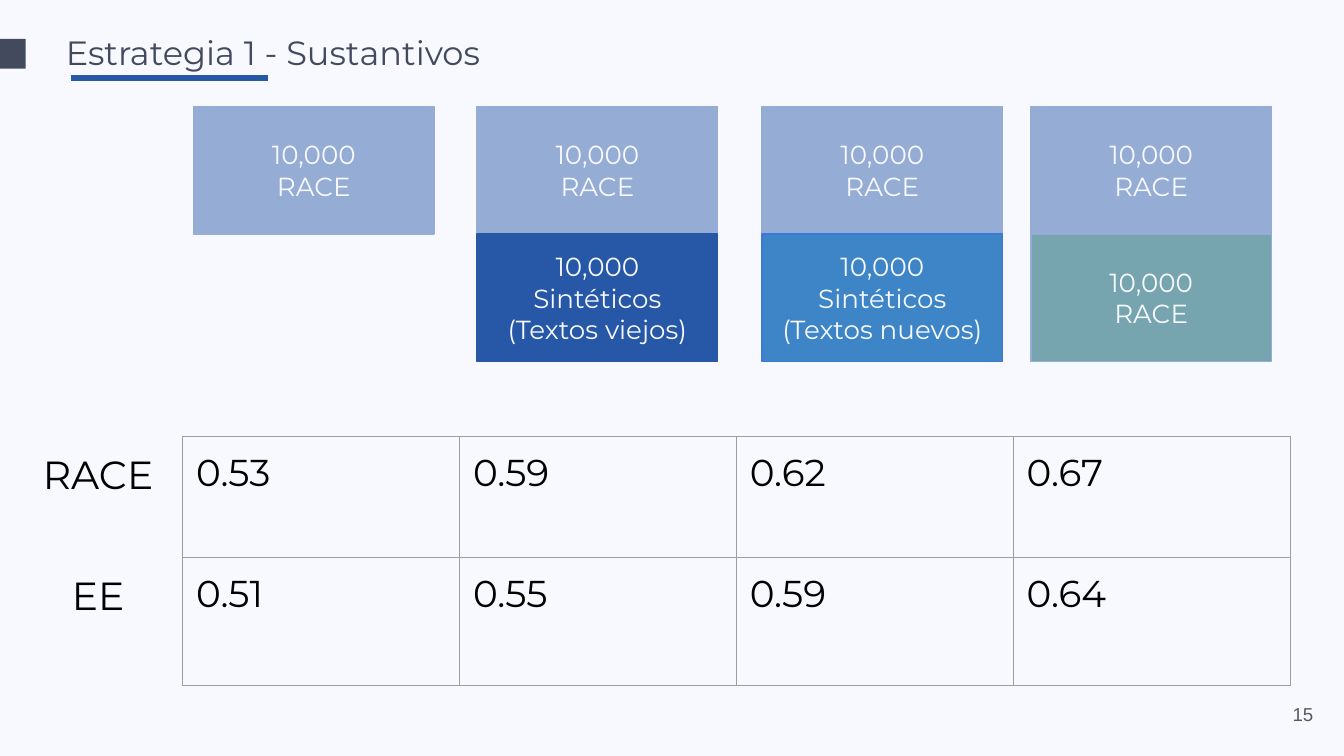
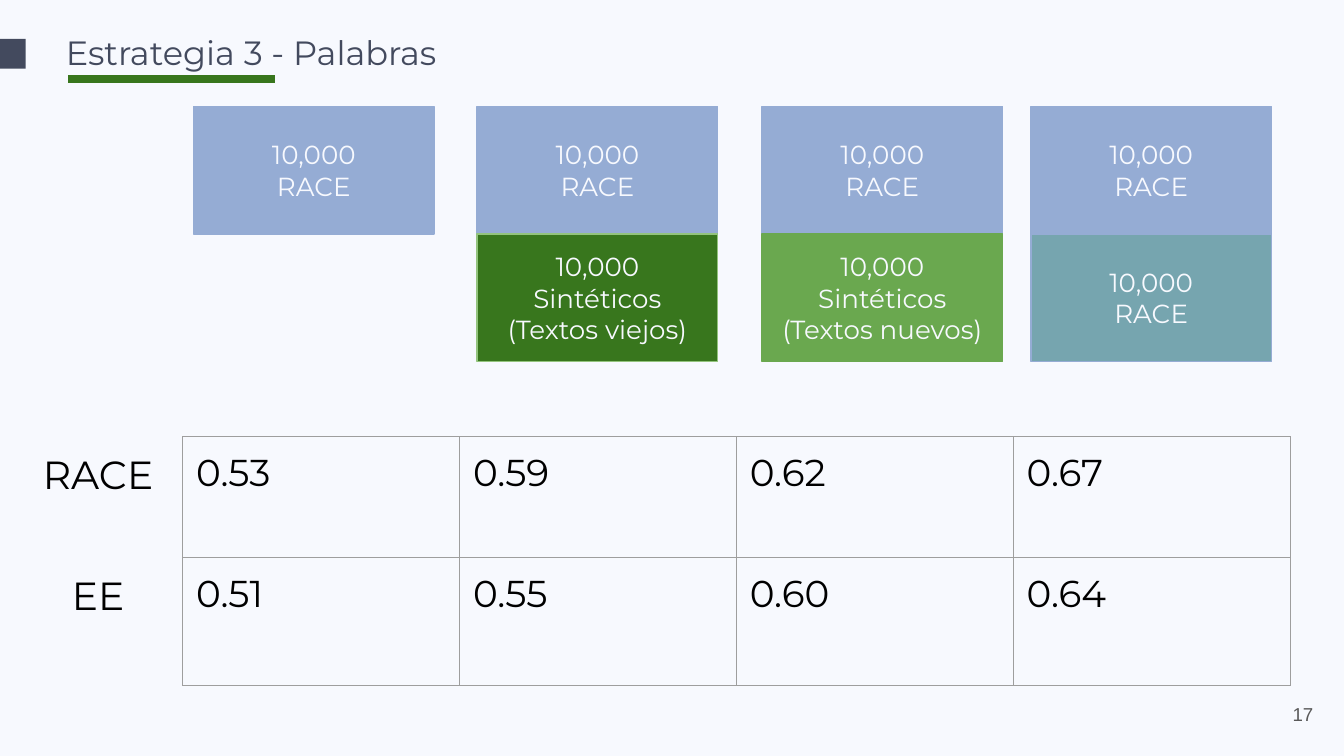
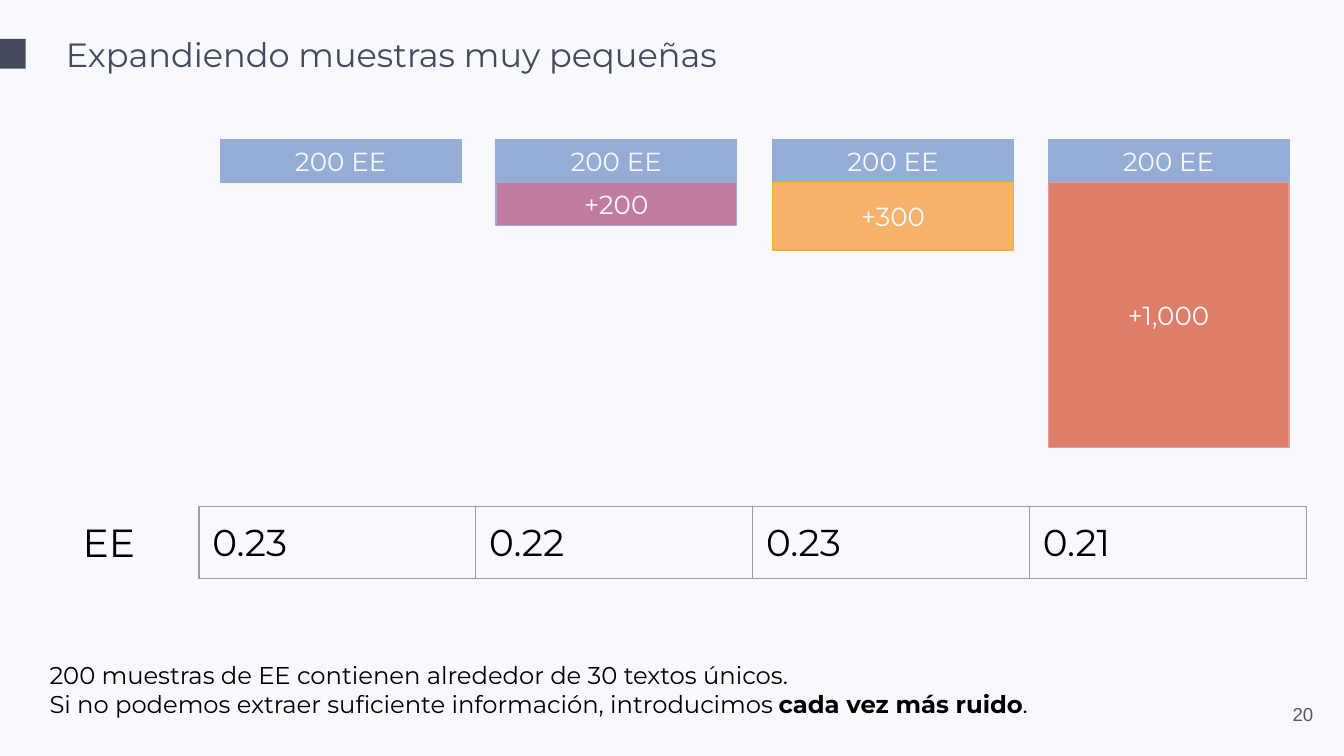
"""Build three slides comparing training samples and their scores."""
from lxml import etree
from pptx import Presentation
from pptx.dml.color import RGBColor
from pptx.enum import shapes, text
from pptx.oxml.ns import qn
from pptx.util import Inches, Pt

FONT = "Montserrat"
PALE, SLATE, BLACK, GREY = "F7F9FE", "434A5E", "000000", "595959"
BASE, TEAL, BORDER = "95ACD4", "76A5AF", "9E9E9E"
BLOCK_WIDTH, SCORE_WIDTH, LABEL_WIDTH = 1.79, 2.06, 1.46

RACE = ["10,000", "RACE"]
OLD = ["10,000", "Sintéticos", "(Textos viejos)"]
NEW = ["10,000", "Sintéticos", "(Textos nuevos)"]
STRATEGY = {
    "title_top": 0.08, "stack_top": 0.79, "stack_lefts": [1.44, 3.55, 5.67, 7.67],
    "base": (RACE, 0.95), "scores_at": (1.36, 3.25), "labels_at": (0, 3.25),
    "row_heights": [0.9, 0.95],
}
SLIDES = [
    {
        **STRATEGY, "title": "Estrategia 1 - Sustantivos", "number": "15",
        "underline": (0.52, 0.55, 1.48, 0.06, "2757A7"),
        "added": [None, (OLD, 0.95, "2757A7", "2757A7"),
                  (NEW, 0.95, "3D85C6", "3C78D8"), (RACE, 0.95, TEAL, BASE)],
        "scores": {"RACE": ["0.53", "0.59", "0.62", "0.67"],
                   "EE": ["0.51", "0.55", "0.59", "0.64"]},
    },
    {
        **STRATEGY, "title": "Estrategia 3 - Palabras", "number": "17",
        "underline": (0.5, 0.55, 1.55, 0.07, "38761D"),
        "added": [None, (OLD, 0.95, "38761D", "93C47D"),
                  (NEW, 0.95, "6AA84F", "6AA84F"), (RACE, 0.95, TEAL, BASE)],
        "scores": {"RACE": ["0.53", "0.59", "0.62", "0.67"],
                   "EE": ["0.51", "0.55", "0.60", "0.64"]},
    },
    {
        "title": "Expandiendo muestras muy pequeñas", "number": "20", "title_top": 0.09,
        "stack_top": 1.04, "stack_lefts": [1.64, 3.69, 5.75, 7.8],
        "base": (["200 EE"], 0.32),
        "added": [None, (["+200"], 0.32, "C27BA0", BASE),
                  (["+300"], 0.5, "F6B26B", "FFAB40"),
                  (["+1,000"], 1.97, "DD7E6B", "EA9999")],
        "scores_at": (1.48, 3.77), "labels_at": (0.08, 3.76), "row_heights": [0.5],
        "scores": {"EE": ["0.23", "0.22", "0.23", "0.21"]},
        "conclusion": [
            ["200 muestras de EE contienen alrededor de 30 textos únicos."],
            ["Si no podemos extraer suficiente información, introducimos ",
             "cada vez más ruido", "."],
        ],
    },
]


def rgb(colour):
    return RGBColor.from_string(colour)


def style(frame, size, colour, align=text.PP_ALIGN.LEFT, font=FONT):
    frame.word_wrap = True
    frame.margin_left = frame.margin_right = Inches(0.1)
    frame.margin_top = frame.margin_bottom = Inches(0.1)
    for paragraph in frame.paragraphs:
        paragraph.alignment = align
        for run in paragraph.runs:
            run.font.size = Pt(size)
            run.font.name = font
            run.font.color.rgb = rgb(colour)


def add_text(slide, place, words, size, colour, middle=False, **look):
    box = slide.shapes.add_textbox(*map(Inches, place))
    frame = box.text_frame
    frame.text = words
    style(frame, size, colour, **look)
    if middle:
        frame.vertical_anchor = text.MSO_ANCHOR.MIDDLE
    return frame


def add_block(slide, place, fill, line=None, lines=()):
    block = slide.shapes.add_shape(shapes.MSO_SHAPE.RECTANGLE, *map(Inches, place))
    block.shadow.inherit = False
    block.fill.solid()
    block.fill.fore_color.rgb = rgb(fill)
    if line:
        block.line.color.rgb = rgb(line)
        block.line.width = Pt(0.75)
    else:
        block.line.fill.background()
    if lines:
        block.text_frame.text = "\n".join(lines)
        block.text_frame.vertical_anchor = text.MSO_ANCHOR.MIDDLE
        style(block.text_frame, 14, PALE, text.PP_ALIGN.CENTER)


def add_frame(slide, content):
    title = add_text(slide, (0, content["title_top"], 8.35, 0.62), content["title"],
                     18, SLATE, middle=True)
    title.margin_left = Inches(0.49)
    add_block(slide, (0, 0.29, 0.19, 0.22), SLATE)
    if "underline" in content:
        *place, colour = content["underline"]
        add_block(slide, place, colour, PALE)
    add_text(slide, (9.27, 5.1, 0.6, 0.43), content["number"], 10, GREY,
             middle=True, align=text.PP_ALIGN.RIGHT, font="Arial")


def add_stacks(slide, content):
    top = content["stack_top"]
    base_lines, base_height = content["base"]
    for left, added in zip(content["stack_lefts"], content["added"]):
        add_block(slide, (left, top, BLOCK_WIDTH, base_height), BASE, BASE, base_lines)
        if added:
            lines, height, fill, line = added
            add_block(slide, (left, top + base_height, BLOCK_WIDTH, height),
                      fill, line, lines)


def add_borders(cell):
    properties = cell._tc.get_or_add_tcPr()
    for index, side in enumerate(("a:lnL", "a:lnR", "a:lnT", "a:lnB")):
        border = etree.Element(qn(side), w=str(Pt(0.75)))
        fill = etree.SubElement(border, qn("a:solidFill"))
        etree.SubElement(fill, qn("a:srgbClr"), val=BORDER)
        properties.insert(index, border)


def add_scores(slide, content):
    left, top = content["scores_at"]
    label_left, label_top = content["labels_at"]
    scores, heights = content["scores"], content["row_heights"]
    columns = len(content["stack_lefts"])
    table = slide.shapes.add_table(
        len(scores), columns, Inches(left), Inches(top),
        Inches(SCORE_WIDTH * columns), Inches(sum(heights))).table
    table.first_row = table.horz_banding = False
    for column in table.columns:
        column.width = Inches(SCORE_WIDTH)
    for row, (label, values) in enumerate(scores.items()):
        table.rows[row].height = Inches(heights[row])
        label_frame = add_text(
            slide, (label_left, label_top + sum(heights[:row]), LABEL_WIDTH, 0.56),
            label, 21, BLACK, align=text.PP_ALIGN.CENTER)
        label_frame.auto_size = text.MSO_AUTO_SIZE.SHAPE_TO_FIT_TEXT
        for column, value in enumerate(values):
            cell = table.cell(row, column)
            cell.text_frame.text = value
            style(cell.text_frame, 20, BLACK)
            cell.margin_left = cell.margin_right = Inches(0.1)
            cell.margin_top = cell.margin_bottom = Inches(0.1)
            cell.fill.background()
            add_borders(cell)


def add_conclusion(slide, sentences):
    frame = add_text(slide, (0.27, 4.81, 8.55, 0.64), "", 13, BLACK)
    for index, parts in enumerate(sentences):
        paragraph = frame.add_paragraph() if index else frame.paragraphs[0]
        for position, part in enumerate(parts):
            run = paragraph.add_run()
            run.text = part
            run.font.bold = position == 1
    style(frame, 13, BLACK)
    frame.auto_size = text.MSO_AUTO_SIZE.SHAPE_TO_FIT_TEXT


def main():
    deck = Presentation()
    deck.slide_width = Inches(10)
    deck.slide_height = deck.slide_width * 9 // 16
    background = deck.slide_master.background.fill
    background.solid()
    background.fore_color.rgb = rgb(PALE)
    for content in SLIDES:
        slide = deck.slides.add_slide(deck.slide_layouts[6])
        add_frame(slide, content)
        add_stacks(slide, content)
        add_scores(slide, content)
        if "conclusion" in content:
            add_conclusion(slide, content["conclusion"])
    deck.save("out.pptx")


if __name__ == "__main__":
    main()
